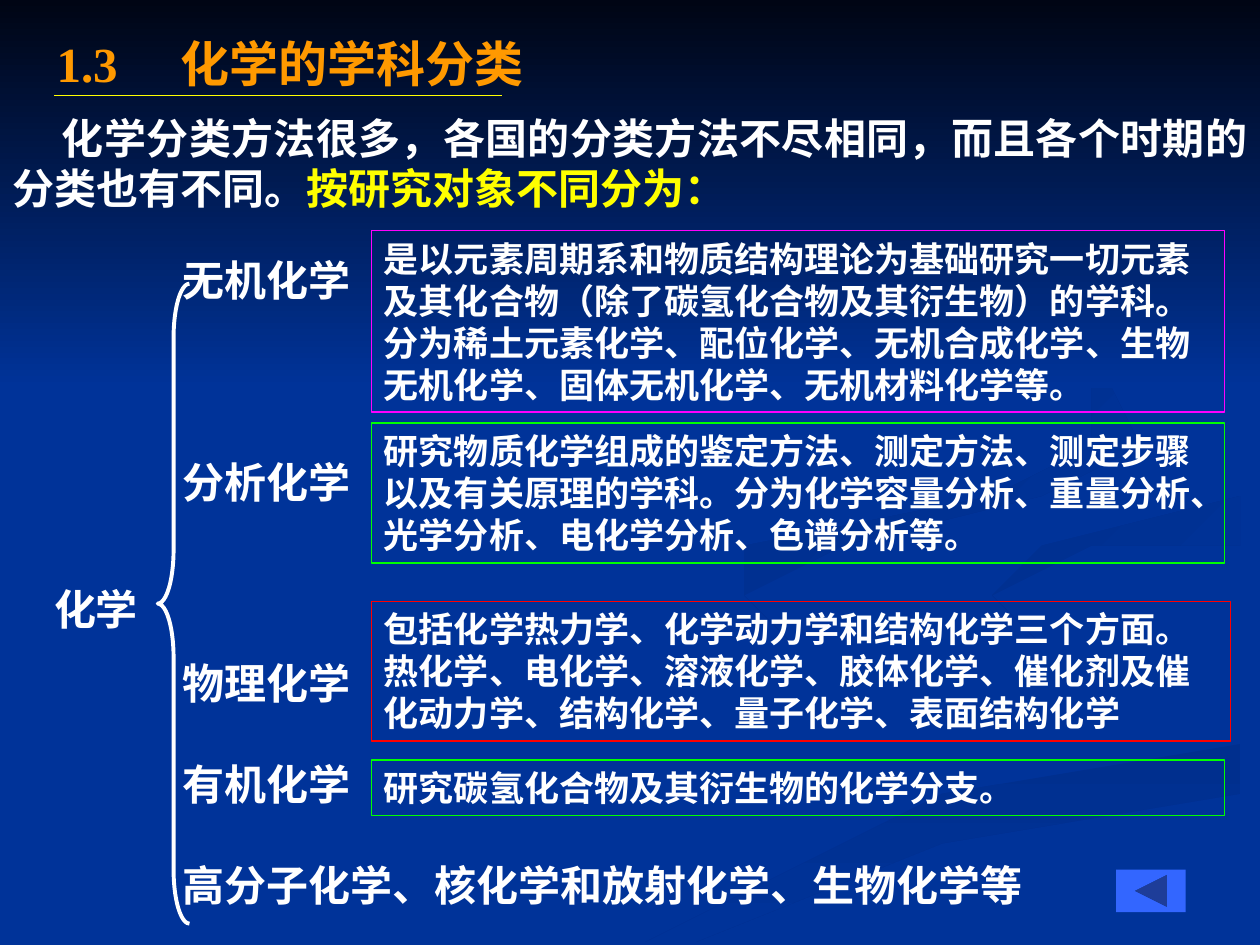
from lxml.etree import SubElement
from pptx import Presentation
from pptx.dml.color import RGBColor
from pptx.enum.shapes import MSO_CONNECTOR as Connector, MSO_SHAPE as Shape
from pptx.enum.text import MSO_ANCHOR as Anchor, MSO_AUTO_SIZE as AutoSize, PP_ALIGN as Align
from pptx.oxml.ns import qn
from pptx.util import Cm, Pt

WHITE = RGBColor(0xFF, 0xFF, 0xFF)
YELLOW = RGBColor(0xFF, 0xFF, 0x00)
ORANGE = RGBColor(0xFF, 0x99, 0x00)
MAGENTA = RGBColor(0xFF, 0x00, 0xFF)
GREEN = RGBColor(0x00, 0xFF, 0x00)
RED = RGBColor(0xFF, 0x00, 0x00)
BLUE = RGBColor(0x00, 0x33, 0x99)
SHADE = RGBColor(0x00, 0x2F, 0x8E)
NIGHT = RGBColor(0x00, 0x05, 0x14)
BUTTON = RGBColor(0x33, 0x66, 0xFF)

FRAME = {"word_wrap": True, "auto_size": AutoSize.NONE, "vertical_anchor": Anchor.TOP,
         "margin_left": Cm(0.25), "margin_right": Cm(0.25),
         "margin_top": Cm(0.13), "margin_bottom": Cm(0.13)}


def write(paragraph, text, size, color):
    run = paragraph.add_run()
    run.text = text
    for name, value in {"name": "Times New Roman", "size": Pt(size), "bold": True}.items():
        setattr(run.font, name, value)
    run.font.color.rgb = color


def arrange(shape, left, top, width, height, **changes):
    for name, value in {"left": left, "top": top, "width": width, "height": height}.items():
        setattr(shape, name, Cm(value))
    for name, value in {**FRAME, **changes}.items():
        setattr(shape.text_frame, name, value)
    return shape.text_frame


presentation = Presentation()
presentation.slide_width, presentation.slide_height = Cm(25.4), Cm(19.05)
slide = presentation.slides.add_slide(presentation.slide_layouts[1])
shapes = slide.shapes
slide.background.fill.solid()
slide.background.fill.fore_color.rgb = BLUE

swirls = [
    (270, [(12.8, 19), (14.5, 19), (19, 17), (25.4, 15.5), (25.4, 14.8), (19.4, 16.4)]),
    (315, [(19.8, 11.7), (21, 12.6), (20.5, 11.9), (21.8, 11.3), (25.4, 10.7), (25.4, 10.2),
           (20.9, 11)]),
    (315, [(17.3, 10.9), (21, 10.2), (22.7, 8.8), (21.9, 7), (22.5, 8.8), (20.1, 10),
           (15.3, 11), (14.7, 11.9), (15.8, 12.7), (15.1, 11.8)]),
]
backdrop = []
for angle, points in swirls:
    builder = shapes.build_freeform(*points[0], scale=Cm(1))
    builder.add_line_segments(points[1:])
    backdrop.append((builder.convert_to_shape(), SHADE, angle))
sky = shapes.add_shape(Shape.RECTANGLE, 0, 0, Cm(25.4), Cm(7.82))
backdrop.append((sky, NIGHT, 270))
for index, (shape, start, angle) in enumerate(backdrop):
    shape.shadow.inherit = False
    shape.line.fill.background()
    shape.fill.gradient()
    shape.fill.gradient_angle = angle
    for position, (stop, color) in enumerate(zip(shape.fill.gradient_stops, (start, BLUE))):
        stop.color.rgb, stop.position = color, position
    shapes._spTree.insert(2 + index, shape._element)

title = arrange(shapes.title, 0.64, 0.64, 21.59, 1.27,
                vertical_anchor=Anchor.MIDDLE, margin_left=Cm(0.5))
heading = title.paragraphs[0]
heading.alignment = Align.LEFT
tabs = SubElement(heading._p.get_or_add_pPr(), qn("a:tabLst"))
SubElement(tabs, qn("a:tab"), pos=str(Cm(2.5)), algn="l")
write(heading, "1.3\t化学的学科分类", 28, ORANGE)

branches = [("无机化学", 0), ("分析化学", 86.4), ("物理化学", 86.4), ("有机化学", 28.8),
            ("高分子化学、核化学和放射化学、生物化学等", 28.8)]
body = arrange(slide.placeholders[1], 3.42, 5, 21.3, 13.4)
for index, (branch, gap) in enumerate(branches):
    paragraph = body.add_paragraph() if index else body.paragraphs[0]
    properties = paragraph._p.get_or_add_pPr()
    properties.set("marL", "0")
    properties.set("indent", "0")
    SubElement(properties, qn("a:buNone"))
    paragraph.space_before = Pt(gap)
    write(paragraph, branch, 24, WHITE)

brace = shapes.add_shape(Shape.LEFT_BRACE, Cm(3.18), Cm(5.72), Cm(0.64), Cm(12.9))
brace.adjustments[0], brace.adjustments[1] = 1.69, 0.5
brace.shadow.inherit = False
brace.fill.background()
brace.line.color.rgb, brace.line.width = WHITE, Pt(2.25)

root = arrange(shapes.add_textbox(0, 0, 0, 0), 0.84, 11.63, 2.64, 1.27)
write(root.paragraphs[0], "化学", 24, WHITE)

descriptions = [
    (4.65, 17.2, 3.66, MAGENTA, "是以元素周期系和物质结构理论为基础研究一切元素及其化合物（除了碳氢化合物及其衍生物）的学科。分为稀土元素化学、配位化学、无机合成化学、生物无机化学、固体无机化学、无机材料化学等。"),
    (8.53, 17.2, 2.82, GREEN, "研究物质化学组成的鉴定方法、测定方法、测定步骤以及有关原理的学科。分为化学容量分析、重量分析、光学分析、电化学分析、色谱分析等。"),
    (12.12, 17.32, 2.82, RED, "包括化学热力学、化学动力学和结构化学三个方面。热化学、电化学、溶液化学、胶体化学、催化剂及催化动力学、结构化学、量子化学、表面结构化学"),
    (15.32, 17.2, 1.12, GREEN, "研究碳氢化合物及其衍生物的化学分支。"),
]
for top, width, height, color, text in descriptions:
    box = shapes.add_shape(Shape.RECTANGLE, 0, 0, 0, 0)
    box.shadow.inherit = False
    box.fill.background()
    box.line.color.rgb, box.line.width = color, Pt(0.75)
    paragraph = arrange(box, 7.49, top, width, height).paragraphs[0]
    paragraph.alignment = Align.LEFT
    write(paragraph, text, 20, WHITE)

intro = arrange(shapes.add_textbox(0, 0, 0, 0), 0, 2.13, 25.4, 3.3).paragraphs[0]
intro.alignment = Align.JUSTIFY
intro._p.get_or_add_pPr().set("indent", str(Cm(1)))
write(intro, "化学分类方法很多，各国的分类方法不尽相同，而且各个时期的分类也有不同。", 24, WHITE)
write(intro, "按研究对象不同分为：", 24, YELLOW)

underline = shapes.add_connector(Connector.STRAIGHT, Cm(1.09), Cm(1.93), Cm(10.11), Cm(1.93))
underline.line.color.rgb, underline.line.width = YELLOW, Pt(0.75)
SubElement(underline._element.spPr, qn("a:effectLst"))

button = shapes.add_shape(Shape.ACTION_BUTTON_BACK_OR_PREVIOUS,
                          Cm(22.5), Cm(17.53), Cm(1.4), Cm(0.86))
button.shadow.inherit = False
button.fill.solid()
button.fill.fore_color.rgb = BUTTON
button.line.fill.background()

presentation.save("out.pptx")
